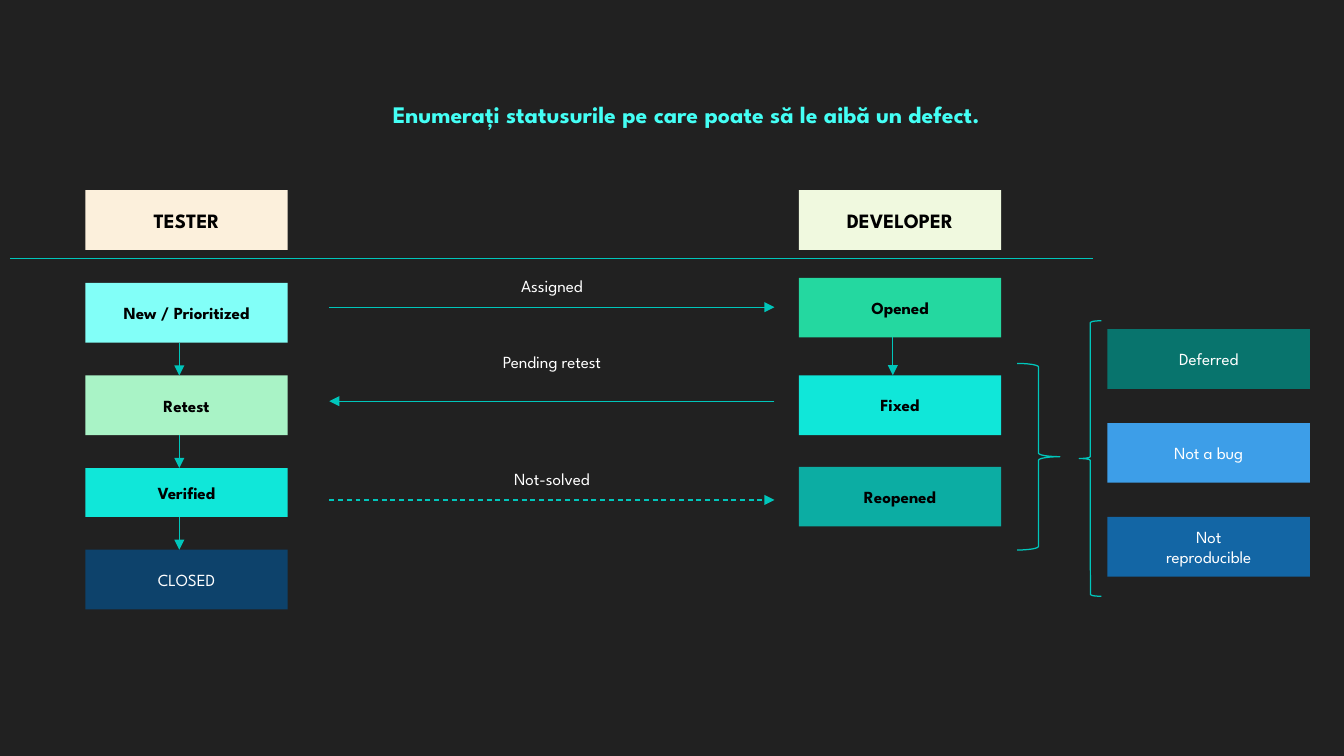
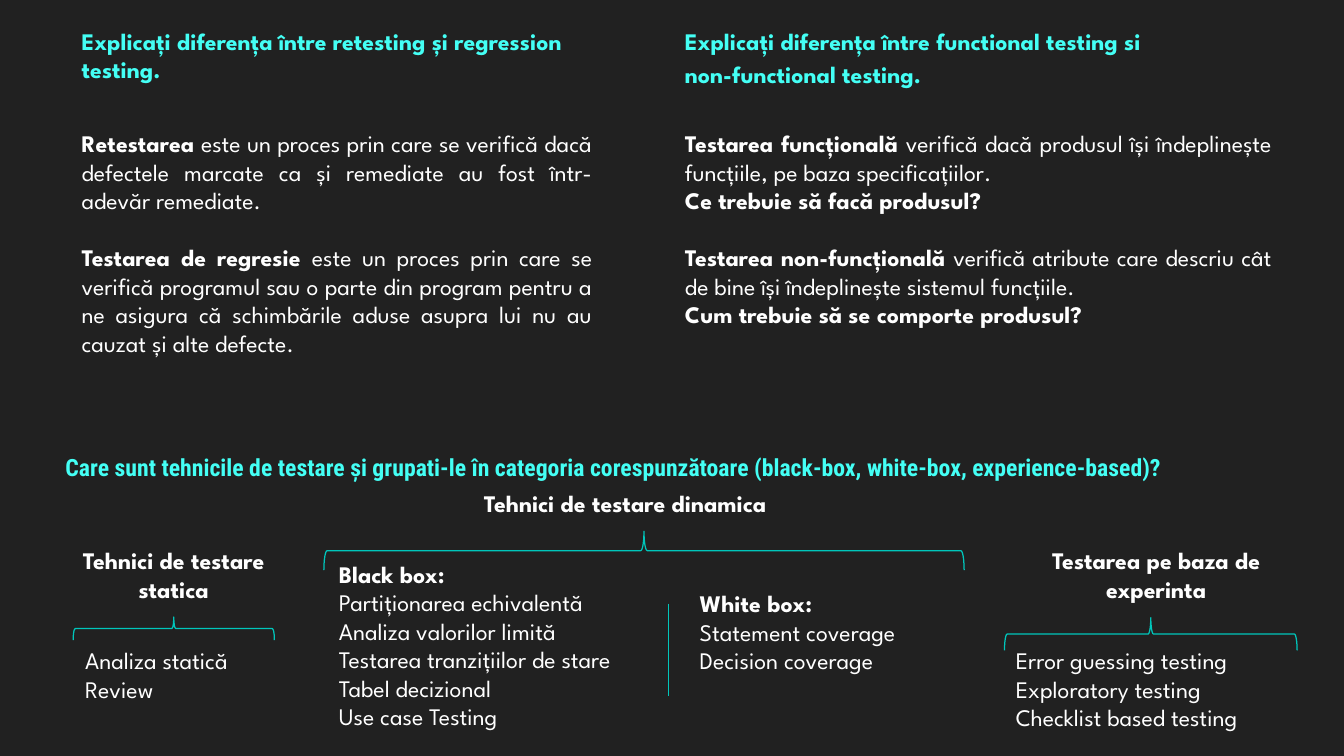
from itertools import pairwise
from pptx import Presentation
from pptx.dml.color import RGBColor
from pptx.enum.dml import MSO_LINE
from pptx.enum.shapes import MSO_CONNECTOR, MSO_SHAPE
from pptx.enum.text import MSO_ANCHOR, MSO_AUTO_SIZE, PP_ALIGN
from pptx.oxml.ns import qn
from pptx.util import Pt
from lxml.etree import SubElement

COLORS = {
    "back": "212121", "title": "44FFF5", "line": "00C6BB",
    "white": "FFFFFF", "black": "000000",
    "cream": "FCF0DC", "lime": "F0F9DF", "ice": "82FFF8",
    "mint": "A9F3C6", "aqua": "10E7D9", "navy": "0D426B",
    "green": "24D8A0", "teal": "0CADA3", "pine": "08746D",
    "sky": "3D9EE8", "blue": "1366A5",
}
FONT = "League Spartan"
NARROW = "Roboto Condensed"
CARD_W, CARD_H = 119.5, 35.3


def color(name):
    return RGBColor.from_string(COLORS[name])


def place(shape, box):
    shape.left, shape.top, shape.width, shape.height = map(Pt, box)


def write(frame, paras, tone="white", size=14, align=PP_ALIGN.LEFT,
          font=FONT, gaps=None, lines=None, anchor=MSO_ANCHOR.TOP):
    frame.word_wrap = True
    frame.auto_size = MSO_AUTO_SIZE.NONE
    frame.vertical_anchor = anchor
    for num, runs in enumerate(paras):
        para = frame.paragraphs[0] if num == 0 else frame.add_paragraph()
        para.alignment = align
        para.space_before = Pt((gaps or {}).get(num, 0))
        if lines:
            para.line_spacing = lines
        props = para._p.get_or_add_pPr()
        props.set("marL", "0")
        props.set("indent", "0")
        SubElement(props, qn("a:buNone"))
        for text, bold in runs:
            run = para.add_run()
            run.text = text
            run.font.name = font
            run.font.size = Pt(size)
            run.font.bold = bold
            run.font.color.rgb = color(tone)


def fill_holder(holder, box, paras, **style):
    place(holder, box)
    write(holder.text_frame, paras, **style)


def label(slide, box, paras, **style):
    shape = slide.shapes.add_textbox(*map(Pt, box))
    write(shape.text_frame, paras, **style)


def card(slide, box, text, fill, tone="black", size=10):
    shape = slide.shapes.add_shape(MSO_SHAPE.RECTANGLE, *map(Pt, box))
    shape.shadow.inherit = False
    shape.fill.solid()
    shape.fill.fore_color.rgb = color(fill)
    shape.line.fill.background()
    paras = [[(part, tone == "black")] for part in text.split("\n")]
    write(shape.text_frame, paras, tone=tone, size=size,
          align=PP_ALIGN.CENTER, anchor=MSO_ANCHOR.MIDDLE)


def rule(slide, start, end, arrow=False, dash=False):
    link = slide.shapes.add_connector(MSO_CONNECTOR.STRAIGHT, *map(Pt, start + end))
    link.line.color.rgb = color("line")
    link.line.width = Pt(0.75)
    if dash:
        link.line.dash_style = MSO_LINE.DASH
    if arrow:
        SubElement(link.line._get_or_add_ln(), qn("a:tailEnd"), type="triangle")
    SubElement(link._element.spPr, qn("a:effectLst"))


def brace(slide, box, kind=MSO_SHAPE.RIGHT_BRACE, turn=False):
    left, top, width, height = box
    if turn:
        left += (width - height) / 2
        top += (height - width) / 2
        width, height = height, width
    shape = slide.shapes.add_shape(kind, *map(Pt, (left, top, width, height)))
    shape.shadow.inherit = False
    shape.fill.background()
    shape.line.color.rgb = color("line")
    shape.line.width = Pt(0.75)
    if turn:
        shape.rotation = 270


def lane(slide, left, top, cards, links=0, shift=55.5):
    for down, height, text, fill, tone in cards:
        card(slide, (left, top + down, CARD_W, height), text, fill, tone)
    for upper, lower in list(pairwise(cards))[:links]:
        rule(slide, (left + shift, top + upper[0] + upper[1]),
             (left + shift, top + lower[0]), arrow=True)


def flow(slide, box, text, gap, back=False, dash=False):
    left, top, width, height = box
    label(slide, box, [[(text, False)]], size=10, align=PP_ALIGN.CENTER)
    ends = [(left, top + gap), (left + width, top + gap)]
    if back:
        ends.reverse()
    rule(slide, *ends, arrow=True, dash=dash)


def group(slide, box, head, head_box, bow, items, align=PP_ALIGN.CENTER):
    label(slide, head_box, [[(line, True)] for line in head], align=align)
    brace(slide, bow, turn=True)
    label(slide, box, items)


def plain(*lines):
    return [[(line, False)] for line in lines]


def status_slide(deck):
    slide = deck.slides.add_slide(deck.slide_layouts[5])
    fill_holder(slide.shapes.title, (36.7, 46.8, 737.3, 30.2),
                [[("Enumerați statusurile pe care poate să le aibă un defect.", True)]],
                tone="title", align=PP_ALIGN.CENTER, lines=1.5)
    test, dev, side = 50.4, 471.6, 653.8
    for left, text, fill in ((test, "TESTER", "cream"), (dev, "DEVELOPER", "lime")):
        card(slide, (left, 112.3, CARD_W, CARD_H), text, fill, size=12)
    rule(slide, (5.8, 152.6), (645.1, 152.6))
    lane(slide, test, 167, [
        (0, CARD_H, "New / Prioritized", "ice", "black"),
        (54.7, CARD_H, "Retest", "mint", "black"),
        (109.4, 28.8, "Verified", "aqua", "black"),
        (157.6, CARD_H, "CLOSED", "navy", "white"),
    ], links=3)
    lane(slide, dev, 164, [
        (0, CARD_H, "Opened", "green", "black"),
        (57.6, CARD_H, "Fixed", "aqua", "black"),
        (111.6, CARD_H, "Reopened", "teal", "black"),
    ], links=1)
    names = (("Deferred", "pine"), ("Not a bug", "sky"),
             ("Not\nreproducible", "blue"))
    lane(slide, side, 194.4, [
        (55.4 * num, CARD_H, text, fill, "white")
        for num, (text, fill) in enumerate(names)])
    flow(slide, (194.4, 159.1, 262.8, 21.6), "Assigned", 22.3)
    flow(slide, (194.4, 203.8, 262.8, 21.6), "Pending retest", 33.1, back=True)
    flow(slide, (194.4, 272.9, 262.8, 21.6), "Not-solved", 22.3, dash=True)
    brace(slide, (600.5, 214.6, 25.2, 110.2))
    brace(slide, (637.2, 189.4, 13, 162.7), MSO_SHAPE.LEFT_BRACE)


def theory(holders, left, width, head, body, gaps):
    title, text = holders
    fill_holder(title, (left, 12.2, width, 44), [[(line, True)] for line in head],
                tone="title", gaps={1: 2.8})
    fill_holder(text, (left, 72.7, width, 160), body,
                align=PP_ALIGN.JUSTIFY, gaps=gaps)


def technique_slide(deck):
    slide = deck.slides.add_slide(deck.slide_layouts[4])
    spots = slide.placeholders
    theory((spots[1], spots[2]), 41, 316,
           ["Explicați diferența între retesting și regression testing."],
           [[("Retestarea ", True),
             ("este un proces prin care se verifică dacă defectele marcate ca și "
              "remediate au fost într-adevăr remediate.", False)],
            [("Testarea de regresie ", True),
             ("este un proces prin care se verifică programul sau o parte din "
              "program pentru a ne asigura că schimbările aduse asupra lui nu au "
              "cauzat și alte defecte.", False)]],
           {1: 16.8})
    theory((spots[3], spots[4]), 397.2, 361,
           ["Explicați diferența între functional testing si",
            "non-functional testing."],
           [[("Testarea funcțională ", True),
             ("verifică dacă produsul își îndeplinește funcțiile, pe baza "
              "specificațiilor.", False)],
            [("Ce trebuie să facă produsul?", True)],
            [("Testarea non-funcțională ", True),
             ("verifică atribute care descriu cât de bine își îndeplinește "
              "sistemul funcțiile.", False)],
            [("Cum trebuie să se comporte produsul?", True)]],
           {2: 16.8})
    fill_holder(slide.shapes.title, (31.4, 263.5, 716.4, 24.5),
                [[("Care sunt tehnicile de testare și grupati-le în categoria "
                   "corespunzătoare (black-box, white-box, experience-based)?", True)]],
                tone="title", font=NARROW)
    group(slide, (43.2, 378, 118.8, 41), ["Tehnici de testare", "statica"],
          (21.6, 319, 162, 41), (43.2, 364.3, 118.8, 13.7),
          plain("Analiza statică", "Review"))
    group(slide, (193, 327, 201.6, 108.7), ["Tehnici de testare dinamica"],
          (278.6, 285.1, 204.5, 24.5), (191.2, 313.6, 378, 23),
          [[("Black box:", True)]]
          + plain("Partiționarea echivalentă", "Analiza valorilor limită",
                  "Testarea tranzițiilor de stare", "Tabel decizional",
                  "Use case Testing"), align=PP_ALIGN.LEFT)
    label(slide, (406, 344.2, 163.4, 58.3), [[("White box:", True)]]
          + plain("Statement coverage", "Decision coverage"))
    rule(slide, (394.6, 356.4), (394.6, 411.1))
    group(slide, (592.6, 378, 175.7, 58.3), ["Testarea pe baza de experinta"],
          (596.2, 319, 172.8, 41), (593, 364.7, 172.8, 19.4),
          plain("Error guessing testing", "Exploratory testing",
                "Checklist based testing"))


def main():
    deck = Presentation()
    deck.slide_width, deck.slide_height = Pt(793.44), Pt(446.4)
    back = deck.slide_master.background.fill
    back.solid()
    back.fore_color.rgb = color("back")
    status_slide(deck)
    technique_slide(deck)
    deck.save("out.pptx")


if __name__ == "__main__":
    main()
